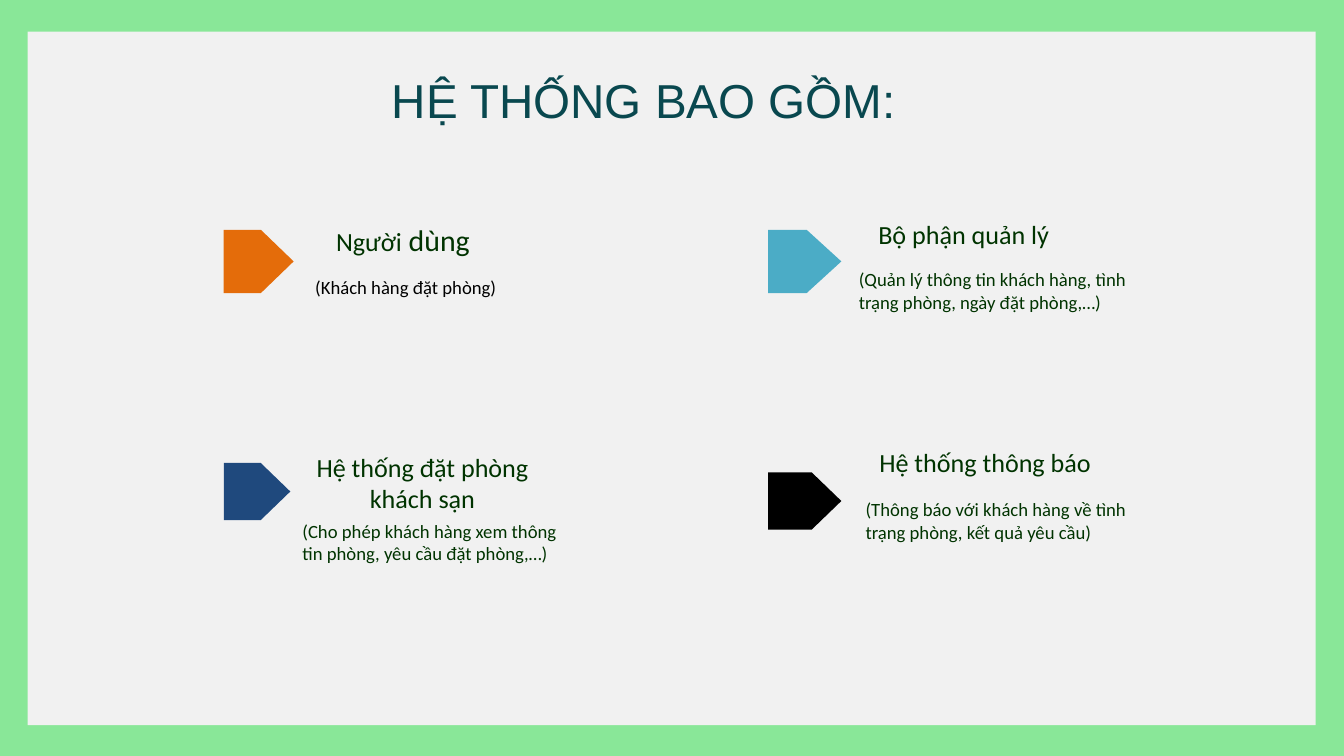
from dataclasses import dataclass

from pptx import Presentation
from pptx.dml.color import RGBColor
from pptx.enum.shapes import MSO_SHAPE
from pptx.enum.text import MSO_ANCHOR, MSO_AUTO_SIZE, PP_ALIGN
from pptx.util import Inches, Pt

RECTANGLE, PENTAGON = MSO_SHAPE.RECTANGLE, MSO_SHAPE.PENTAGON
LEFT, CENTER, RIGHT = PP_ALIGN.LEFT, PP_ALIGN.CENTER, PP_ALIGN.RIGHT
TOP, MIDDLE = MSO_ANCHOR.TOP, MSO_ANCHOR.MIDDLE

WIDTH, HEIGHT = Inches(20), Inches(11.25)
COLORS = {
    "frame": "89E798", "panel": "F1F1F1", "title": "09484F",
    "text": "003300", "black": "000000",
    "orange": "E46C0A", "aqua": "4BACC6", "navy": "1F497D",
}
HEADING_SIZE, DETAIL_SIZE = 28, 20
INSET = 0.13
INSETS = ("margin_left", "margin_top", "margin_right", "margin_bottom")


@dataclass
class Box:
    """Place and size in hundredths of the slide's width and height."""
    x: float
    y: float
    width: float
    height: float

    def emu(self) -> tuple[int, int, int, int]:
        return (round(WIDTH * self.x / 100), round(HEIGHT * self.y / 100),
                round(WIDTH * self.width / 100), round(HEIGHT * self.height / 100))


@dataclass
class Label:
    box: Box
    runs: list[tuple[str, int]]
    color: str = "text"
    align: PP_ALIGN = LEFT
    bottom_inset: float = INSET


@dataclass
class Part:
    arrow: Box
    arrow_color: str
    heading: Label
    detail: Label
    point: float = 0.518


FIRST_COLUMN, SECOND_COLUMN, FIRST_ROW = 16.65, 57.15, 30.4

PARTS = [
    Part(Box(FIRST_COLUMN, FIRST_ROW, 5.2, 8.36), "orange",
         Label(Box(24.35, 28.27, 14.05, 6.84),
               [("Người", HEADING_SIZE), (" dùng", 32)]),
         Label(Box(22.8, 35.11, 20.75, 5.69),
               [("(Khách hàng đặt phòng)", DETAIL_SIZE)], "black")),
    Part(Box(SECOND_COLUMN, FIRST_ROW, 5.45, 8.36), "aqua",
         Label(Box(64.7, 27.38, 19.2, 7.11), [("Bộ phận quản lý", HEADING_SIZE)]),
         Label(Box(63.25, 35.2, 22.95, 9.42),
               [("(Quản lý thông tin khách hàng, tình trạng phòng, "
                 "ngày đặt phòng,…)", DETAIL_SIZE)], bottom_inset=0.46),
         point=0.548),
    Part(Box(FIRST_COLUMN, 61.24, 4.95, 7.56), "navy",
         Label(Box(22.8, 59.11, 17.25, 9.42),
               [("Hệ thống đặt phòng khách sạn", HEADING_SIZE)], align=CENTER),
         Label(Box(21.85, 67.91, 21.85, 7.56),
               [("(Cho phép khách hàng xem thông tin phòng, "
                 "yêu cầu đặt phòng,…)", DETAIL_SIZE)])),
    Part(Box(SECOND_COLUMN, 62.49, 5.45, 7.56), "black",
         Label(Box(60.5, 59.11, 21.3, 4.09),
               [("Hệ thống thông báo", HEADING_SIZE)], align=RIGHT),
         Label(Box(63.75, 65.07, 21.9, 7.56),
               [("(Thông báo với khách hàng về tình trạng phòng, "
                 "kết quả yêu cầu)", DETAIL_SIZE)])),
]


def color(name: str) -> RGBColor:
    return RGBColor.from_string(COLORS[name])


def set_values(target, values: dict) -> None:
    for name, value in values.items():
        setattr(target, name, value)


def add_filled(slide, kind: MSO_SHAPE, box: Box, fill: str):
    shape = slide.shapes.add_shape(kind, *box.emu())
    shape.shadow.inherit = False
    shape.fill.solid()
    shape.fill.fore_color.rgb = color(fill)
    shape.line.fill.background()
    return shape


def write_runs(paragraph, runs: list[tuple[str, int]], font: str, fill: str) -> None:
    for text, size in runs:
        run = paragraph.add_run()
        run.text = text
        set_values(run.font, {"name": font, "size": Pt(size)})
        run.font.color.rgb = color(fill)


def add_label(slide, label: Label) -> None:
    frame = slide.shapes.add_textbox(*label.box.emu()).text_frame
    set_values(frame, dict.fromkeys(INSETS, Inches(INSET)))
    set_values(frame, {"word_wrap": True, "vertical_anchor": MIDDLE,
                       "margin_bottom": Inches(label.bottom_inset)})
    paragraph = frame.paragraphs[0]
    paragraph.alignment = label.align
    write_runs(paragraph, label.runs, "Calibri", label.color)


def add_title(slide, box: Box, text: str) -> None:
    title = slide.shapes.title
    set_values(title, dict(zip(("left", "top", "width", "height"), box.emu())))
    frame = title.text_frame
    set_values(frame, dict.fromkeys(INSETS, 0))
    set_values(frame, {"word_wrap": True, "vertical_anchor": TOP,
                       "auto_size": MSO_AUTO_SIZE.SHAPE_TO_FIT_TEXT})
    paragraph = frame.paragraphs[0]
    paragraph.alignment = LEFT
    write_runs(paragraph, [(text, 51)], "Arial", "title")


def add_part(slide, part: Part) -> None:
    arrow = add_filled(slide, PENTAGON, part.arrow, part.arrow_color)
    arrow.adjustments[0] = part.point
    add_label(slide, part.heading)
    add_label(slide, part.detail)


def main() -> None:
    presentation = Presentation()
    set_values(presentation, {"slide_width": WIDTH, "slide_height": HEIGHT})
    slide = presentation.slides.add_slide(presentation.slide_layouts[5])

    # Green frame around a light panel, which lies behind the title
    slide.background.fill.solid()
    slide.background.fill.fore_color.rgb = color("frame")
    panel = add_filled(slide, RECTANGLE, Box(2.05, 4.18, 95.85, 91.73), "panel")
    slide.shapes.title.element.addprevious(panel.element)

    # Title
    add_title(slide, Box(29.15, 9.33, 39.9, 7.64), "HỆ THỐNG BAO GỒM:")

    # The four parts of the system
    for part in PARTS:
        add_part(slide, part)

    presentation.save("out.pptx")


if __name__ == "__main__":
    main()
